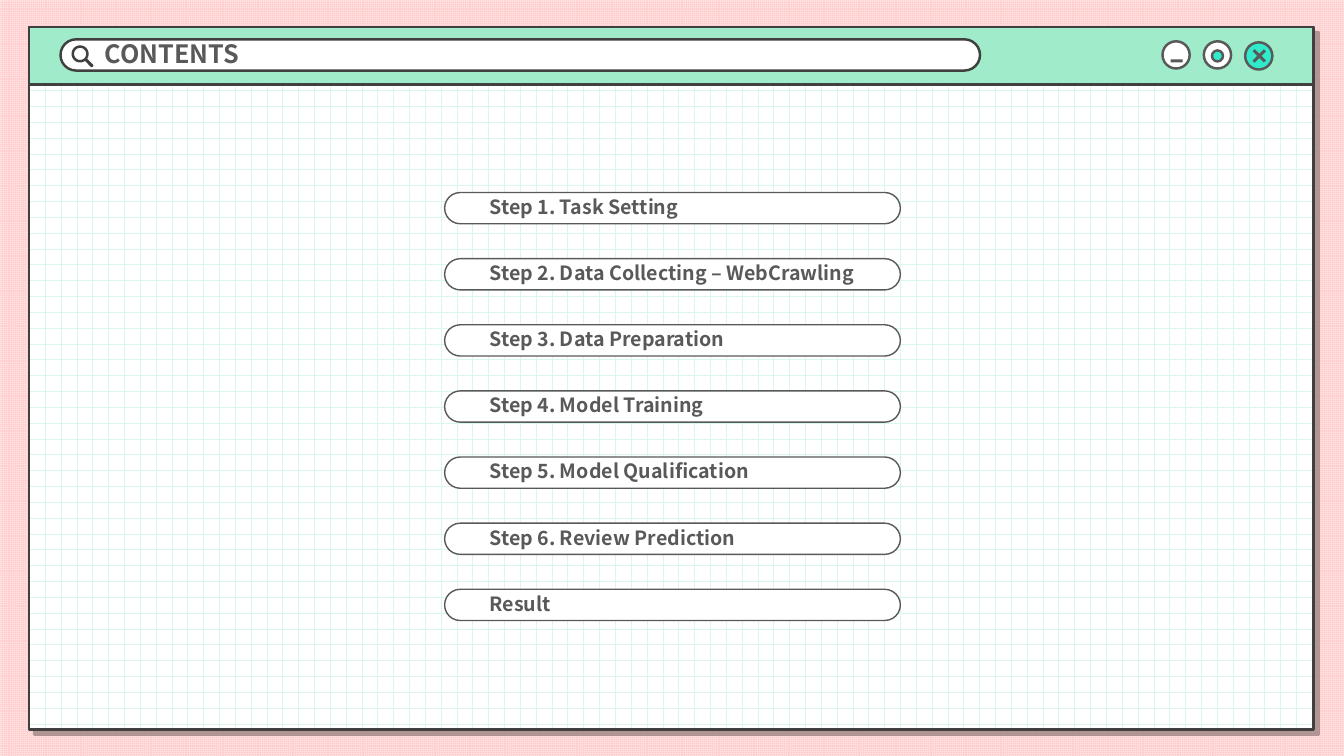
from dataclasses import dataclass
from math import cos, radians, sin
from typing import Optional

from lxml.etree import SubElement
from pptx import Presentation
from pptx.dml.color import RGBColor
from pptx.dml.fill import FillFormat
from pptx.enum.dml import MSO_PATTERN_TYPE as PATTERN
from pptx.enum.shapes import MSO_SHAPE as SHAPE
from pptx.enum.text import MSO_ANCHOR, MSO_AUTO_SIZE, PP_ALIGN
from pptx.oxml.ns import qn
from pptx.shapes.autoshape import Shape
from pptx.shapes.shapetree import GroupShapes, SlideShapes
from pptx.text.text import TextFrame
from pptx.util import Inches, Pt

FONT = "Noto Sans CJK KR"
WHITE = RGBColor(0xFF, 0xFF, 0xFF)
BLACK = RGBColor(0x00, 0x00, 0x00)
DARK = RGBColor(0x40, 0x40, 0x40)
GRAY = RGBColor(0x59, 0x59, 0x59)
MINT = RGBColor(0x9F, 0xEB, 0xCA)
TEAL = RGBColor(0x2F, 0xEA, 0xCB)
GRID_MINT = RGBColor(0xD9, 0xF7, 0xEA)
PINK = RGBColor(0xFF, 0xD1, 0xD1)
PALE_PINK = RGBColor(0xFF, 0xE7, 0xE7)

STEPS = (
    "Step 1. Task Setting",
    "Step 2. Data Collecting – WebCrawling",
    "Step 3. Data Preparation",
    "Step 4. Model Training",
    "Step 5. Model Qualification",
    "Step 6. Review Prediction",
    "Result",
)
STEP_TOP, STEP_PITCH = 1.91, 0.656


@dataclass(frozen=True)
class Box:
    x: float
    y: float
    w: float
    h: float
    kind: SHAPE = SHAPE.RECTANGLE
    fill: RGBColor = WHITE
    line: Optional[RGBColor] = None
    weight: float = 1.75
    rotation: float = 0


WINDOW = Box(0.29, 0.27, 12.74, 6.97, line=DARK)
TITLE_BAR = Box(0.29, 0.27, 12.74, 0.57, fill=MINT, line=DARK)
SEARCH_BAR = Box(0.6, 0.39, 9.12, 0.31, SHAPE.ROUNDED_RECTANGLE, line=DARK)
BUTTONS = (
    Box(11.53, 0.41, 0.27, 0.27, SHAPE.OVAL, line=GRAY),
    Box(11.94, 0.41, 0.27, 0.27, SHAPE.OVAL, line=GRAY),
    Box(12.35, 0.42, 0.27, 0.27, SHAPE.OVAL, TEAL, GRAY),
    Box(12.02, 0.5, 0.11, 0.11, SHAPE.OVAL, TEAL, GRAY),
    Box(11.61, 0.59, 0.12, 0.03, fill=GRAY),
    Box(12.41, 0.54, 0.16, 0.03, fill=GRAY, rotation=45),
    Box(12.41, 0.54, 0.16, 0.03, fill=GRAY, rotation=315),
)


def draw_box(shapes: SlideShapes | GroupShapes, box: Box) -> Shape:
    sp = shapes.add_shape(box.kind, Inches(box.x), Inches(box.y), Inches(box.w), Inches(box.h))
    sp.shadow.inherit = False
    sp.rotation = box.rotation
    sp.fill.solid()
    sp.fill.fore_color.rgb = box.fill
    if box.line is None:
        sp.line.fill.background()
    else:
        sp.line.color.rgb = box.line
        sp.line.width = Pt(box.weight)
    if box.kind == SHAPE.ROUNDED_RECTANGLE:
        sp.adjustments[0] = 0.5
    return sp


def set_pattern(fill: FillFormat, pattern: PATTERN, fore: RGBColor, back: RGBColor) -> None:
    fill.patterned()
    fill.pattern = pattern
    fill.fore_color.rgb = fore
    fill.back_color.rgb = back


def add_hard_shadow(sp: Shape) -> None:
    effects = sp.element.spPr.find(qn("a:effectLst"))
    shadow = SubElement(effects, qn("a:outerShdw"), blurRad="0", dist=str(Pt(5)),
                        dir=str(45 * 60000), algn="tl", rotWithShape="0")
    color = SubElement(shadow, qn("a:srgbClr"), val=str(BLACK))
    SubElement(color, qn("a:alpha"), val="30000")


def write_label(tf: TextFrame, text: str, size: float, left: float) -> None:
    tf.word_wrap = True
    tf.auto_size = MSO_AUTO_SIZE.NONE
    tf.vertical_anchor = MSO_ANCHOR.MIDDLE
    tf.margin_left, tf.margin_right = Inches(left), Inches(0.1)
    tf.margin_top, tf.margin_bottom = Inches(0.05), Inches(0.08)
    p = tf.paragraphs[0]
    p.text = text
    p.alignment = PP_ALIGN.LEFT
    p.font.name = FONT
    p.font.size = Pt(size)
    p.font.bold = True
    p.font.color.rgb = GRAY


def arc(x: float, y: float, radius: float, start: int, stop: int) -> list[tuple[int, int]]:
    return [(Inches(x + radius * cos(radians(a))), Inches(y + radius * sin(radians(a))))
            for a in range(start, stop + 1, 10)]


def draw_magnifier(shapes: SlideShapes) -> None:
    rim = arc(0.795, 0.535, 0.085, 55, 395) + arc(0.91, 0.65, 0.016, -45, 135)
    lens = arc(0.795, 0.535, 0.06, 0, 350)
    builder = shapes.build_freeform(*rim[0], scale=1.0)
    builder.add_line_segments(rim[1:], close=True)
    builder.move_to(*lens[0])
    builder.add_line_segments(lens[1:], close=True)
    sp = builder.convert_to_shape()
    sp.shadow.inherit = False
    sp.fill.solid()
    sp.fill.fore_color.rgb = DARK
    sp.line.fill.background()


def place_title(title: Shape, box: Box) -> None:
    title.left, title.top = Inches(box.x), Inches(box.y)
    title.width, title.height = Inches(box.w), Inches(box.h)
    write_label(title.text_frame, "CONTENTS", 18, 0.44)
    title.element.getparent().append(title.element)


prs = Presentation()
prs.slide_width, prs.slide_height = Inches(13.33), Inches(7.5)
s = prs.slides.add_slide(prs.slide_layouts[5])
set_pattern(s.background.fill, PATTERN.SMALL_GRID, PINK, PALE_PINK)

window = draw_box(s.shapes, WINDOW)
set_pattern(window.fill, PATTERN.DOTTED_GRID, GRID_MINT, WHITE)
add_hard_shadow(window)
draw_box(s.shapes, TITLE_BAR)
draw_box(s.shapes, SEARCH_BAR)
place_title(s.shapes.title, SEARCH_BAR)
draw_magnifier(s.shapes)

buttons = s.shapes.add_group_shape()
for button in BUTTONS:
    draw_box(buttons.shapes, button)

steps = s.shapes.add_group_shape()
for i, step in enumerate(STEPS):
    pill = Box(4.41, STEP_TOP + i * STEP_PITCH, 4.52, 0.31,
               SHAPE.ROUNDED_RECTANGLE, line=GRAY, weight=1)
    write_label(draw_box(steps.shapes, pill).text_frame, step, 14, 0.4)

prs.save("out.pptx")
